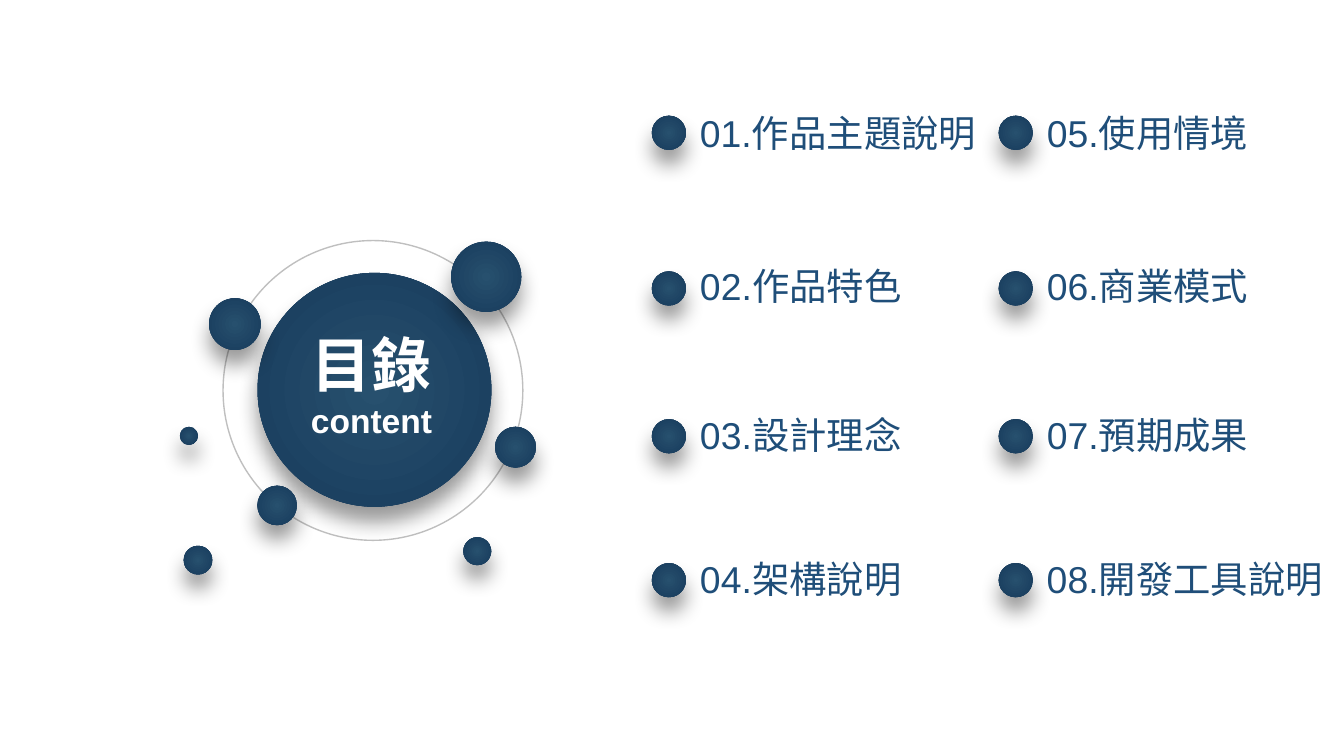
from lxml.etree import SubElement
from pptx import Presentation
from pptx.dml.color import RGBColor
from pptx.enum.shapes import MSO_SHAPE
from pptx.enum.text import MSO_ANCHOR, MSO_AUTO_SIZE, PP_ALIGN
from pptx.oxml import parse_xml
from pptx.oxml.ns import nsdecls, qn
from pptx.util import Pt

CENTRE_PATH = (
    f'<a:path {nsdecls("a")} path="circle">'
    '<a:fillToRect l="50000" t="50000" r="50000" b="50000"/></a:path>'
)

LABELS = [
    ["01.作品主題說明", "02.作品特色", "03.設計理念", "04.架構說明"],
    ["05.使用情境", "06.商業模式", "07.預期成果", "08.開發工具說明"],
]
COLUMN_LEFTS = [349.2, 535]
ROW_TOPS = [(62, 55.4), (145.4, 137.5), (224.6, 217.4), (301.7, 294.5)]
DOT_SIZE = 18.3
LABEL_OFFSET = 18.7

# left, top, diameter
SATELLITES = [
    (241.7, 129.5, 37.6),
    (112, 159.8, 27.7),
    (98.4, 292.4, 15.4),
    (137.9, 260.2, 21.2),
    (265.2, 228.6, 21.9),
    (248.2, 287.8, 15),
    (96.4, 228.7, 9.7),
]


def color(hex_text):
    return RGBColor.from_string(hex_text)


class ContentsSlide:
    font = "Arial"
    ink = "1F4E79"
    white = "FFFFFF"
    ring_grey = "BFBFBF"
    ball_colors = ("27506E", "173A5B")

    def __init__(self, presentation):
        self.slide = presentation.slides.add_slide(presentation.slide_layouts[5])

    def circle(self, left, top, size):
        circle = self.slide.shapes.add_shape(
            MSO_SHAPE.OVAL, Pt(left), Pt(top), Pt(size), Pt(size)
        )
        circle.shadow.inherit = False
        return circle

    def ring(self, left, top, size):
        ring = self.circle(left, top, size)
        ring.fill.background()
        ring.line.color.rgb = color(self.ring_grey)
        ring.line.width = Pt(0.75)

    def ball(self, left, top, size):
        """Circle with a radial gradient and a soft shadow below it."""
        ball = self.circle(left, top, size)
        ball.line.fill.background()
        ball.fill.gradient()
        for stop, hex_text in zip(ball.fill.gradient_stops, self.ball_colors):
            stop.color.rgb = color(hex_text)
        properties = ball.element.spPr
        gradient = properties.find(qn("a:gradFill"))
        gradient.replace(gradient.find(qn("a:lin")), parse_xml(CENTRE_PATH))

        shadow = SubElement(
            properties.find(qn("a:effectLst")), qn("a:outerShdw"),
            blurRad=str(Pt(11)), dist=str(Pt(8)), dir="5400000",
            algn="t", rotWithShape="0",
        )
        shadow_color = SubElement(shadow, qn("a:srgbClr"), val="000000")
        SubElement(shadow_color, qn("a:alpha"), val="40000")
        return ball

    def format_text(self, frame, sizes, hex_text, bold=False, align=None):
        """Style each paragraph with its own size from sizes."""
        frame.word_wrap = False
        frame.auto_size = MSO_AUTO_SIZE.SHAPE_TO_FIT_TEXT
        frame.vertical_anchor = MSO_ANCHOR.TOP
        for paragraph, size in zip(frame.paragraphs, sizes):
            paragraph.alignment = align
            for run in paragraph.runs:
                run.font.name = self.font
                run.font.size = Pt(size)
                run.font.bold = bold
                run.font.color.rgb = color(hex_text)

    def label(self, text, left, top):
        width = 20 * len(text) - 16.6
        label = self.slide.shapes.add_textbox(Pt(left), Pt(top), Pt(width), Pt(31.5))
        label.text_frame.text = text
        self.format_text(label.text_frame, [20], self.ink)

    def title(self, text, left, top, width, height, on):
        """Place the title placeholder just above the shape given as on."""
        title = self.slide.shapes.title
        title.left, title.top = Pt(left), Pt(top)
        title.width, title.height = Pt(width), Pt(height)
        title.text_frame.text = text
        self.format_text(title.text_frame, [32, 18], self.white, True, PP_ALIGN.CENTER)
        on.element.addnext(title.element)


def main():
    presentation = Presentation()
    presentation.slide_width, presentation.slide_height = Pt(720), Pt(405)
    contents = ContentsSlide(presentation)

    contents.ring(119.5, 128.9, 160.6)
    hub = contents.ball(138, 146.2, 125.3)
    contents.title("目錄\ncontent", 159.1, 172.1, 79.9, 67.7, on=hub)
    for satellite in SATELLITES:
        contents.ball(*satellite)

    for left, column in zip(COLUMN_LEFTS, LABELS):
        for (dot_top, label_top), text in zip(ROW_TOPS, column):
            contents.ball(left, dot_top, DOT_SIZE)
            contents.label(text, left + LABEL_OFFSET, label_top)

    presentation.save("out.pptx")


if __name__ == "__main__":
    main()
